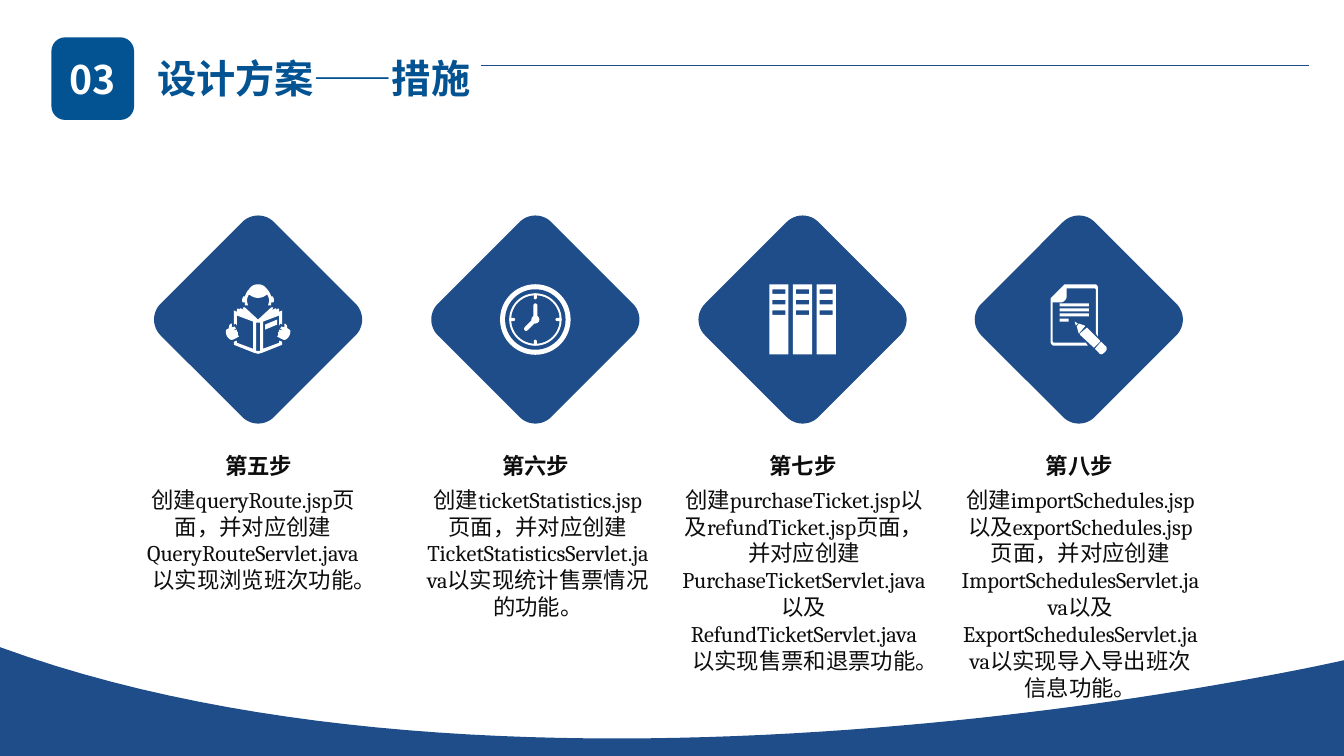
from lxml import etree
from pptx import Presentation
from pptx.dml.color import RGBColor
from pptx.enum import shapes, text
from pptx.oxml import ns
from pptx.util import Inches, Pt

BLUE = RGBColor(0x1E, 0x4D, 0x8A)
TITLE_BLUE = RGBColor(0x03, 0x53, 0x92)
WHITE = RGBColor(0xFF, 0xFF, 0xFF)
INK = RGBColor(0x0D, 0x0D, 0x0D)
SANS = "Noto Sans CJK SC"
SERIF = "Cambria"
PRESET = shapes.MSO_SHAPE
UNIT = 0.01  # icons are laid out in hundredths of an inch from their centre


def paint(shape, fill):
    shape.shadow.inherit = False
    shape.fill.solid()
    shape.fill.fore_color.rgb = fill
    shape.line.fill.background()


def add_preset(slide, preset, left, top, width, height, fill, rotation=0):
    shape = slide.shapes.add_shape(preset, Inches(left), Inches(top), Inches(width), Inches(height))
    paint(shape, fill)
    shape.rotation = rotation
    return shape


def flatten(steps, pieces=12):
    """Turn steps of 2 numbers (point) or 6 numbers (cubic curve) into points."""
    points = []
    for step in steps:
        if len(step) == 2:
            points.append(step)
            continue
        x0, y0 = points[-1]
        x1, y1, x2, y2, x3, y3 = step
        for i in range(1, pieces + 1):
            t = i / pieces
            a, b, c, d = (1 - t) ** 3, 3 * t * (1 - t) ** 2, 3 * t * t * (1 - t), t ** 3
            points.append((a * x0 + b * x1 + c * x2 + d * x3, a * y0 + b * y1 + c * y2 + d * y3))
    return points


def mirror(points):
    return [(-x, y) for x, y in reversed(points)]


def bar(left, top, right, bottom):
    return [(left, top), (right, top), (right, bottom), (left, bottom)]


def add_outline(slide, contours, fill, x=0, y=0, unit=1.0):
    def place(point):
        return Inches(x + point[0] * unit), Inches(y + point[1] * unit)

    builder = slide.shapes.build_freeform(*place(contours[0][0]), scale=1.0)
    for i, contour in enumerate(contours):
        if i:
            builder.move_to(*place(contour[0]))
        builder.add_line_segments([place(point) for point in contour[1:]], close=True)
    paint(builder.convert_to_shape(), fill)


def write(shape, pieces, size, color, bold=False, align=text.PP_ALIGN.CENTER):
    paragraph = shape.text_frame.paragraphs[0]
    paragraph.alignment = align
    for words, font_name in pieces:
        run = paragraph.add_run()
        run.text = words
        run.font.size = Pt(size)
        run.font.bold = bold
        run.font.name = font_name
        run.font.color.rgb = color
        east_asian = etree.SubElement(run._r.get_or_add_rPr(), ns.qn("a:ea"))
        east_asian.set("typeface", SANS)


def add_text(slide, left, top, width, height, wrap=True):
    box = slide.shapes.add_textbox(Inches(left), Inches(top), Inches(width), Inches(height))
    box.text_frame.word_wrap = wrap
    box.text_frame.auto_size = text.MSO_AUTO_SIZE.SHAPE_TO_FIT_TEXT
    return box


# Icons, each centred on x, y
def reader_icon(slide, x, y):
    hair = flatten([(0, -35), (4, -35, 7, -33, 9, -30), (11, -28, 12, -26, 13, -23),
                    (14, -23, 15, -23, 15, -22), (16, -21, 16, -17, 15, -17), (13, -17),
                    (13, -14), (10, -14), (10, -15, 11, -17, 11, -19),
                    (11, -21, 10, -23, 9, -25), (6, -22.5, 3, -21.5, 0, -21.5)])
    book = [(0, 0), (13, -12), (15, -12), (15, -11), (13, -9), (17, -11), (18, -11), (18, -10),
            (15, -8), (20, -11), (21, -10), (21, -8), (15, -5), (24, -9), (24, 5), (22, 4),
            (21, 6), (21, -4), (5, 2), (5, 29), (21, 23), (21, 21), (24, 22), (24, 25),
            (4, 33), (0, 34)]
    hand = flatten([(23, 7), (22, 9), (25, 11), (21, 10), (21, 12), (24, 14), (20, 12), (20, 15),
                    (23, 17), (20, 15), (19, 17), (20, 17, 25, 21, 27, 20),
                    (30, 19, 32, 15, 32, 12), (33, 9, 24, 7, 23, 7)])
    sleeve = flatten([(29, 9), (27, 8), (26, 7), (26, 4), (28, 4, 29, 6, 29, 9)])
    label = [(7, 5), (19, 0), (19, 5), (7, 10)]
    contours = [hair + mirror(hair), book + mirror(book), bar(-2, 3, 2, 31), label,
                hand, mirror(hand), sleeve, mirror(sleeve)]
    add_outline(slide, contours, WHITE, x, y, UNIT)


def clock_icon(slide, x, y):
    for radius, fill in ((0.35, WHITE), (0.3, BLUE), (0.26, WHITE), (0.24, BLUE), (0.04, WHITE)):
        add_preset(slide, PRESET.OVAL, x - radius, y - radius, 2 * radius, 2 * radius, fill)
    # Hour marks and hands: centre offset, size, rotation
    for dx, dy, width, height, rotation in (
            (0, -0.23, 0.03, 0.06, 0), (0, 0.23, 0.03, 0.06, 0),
            (-0.23, 0, 0.06, 0.03, 0), (0.23, 0, 0.06, 0.03, 0),
            (0, -0.07, 0.04, 0.18, 0), (-0.05, 0.05, 0.04, 0.16, 45)):
        mark = add_preset(slide, PRESET.ROUNDED_RECTANGLE, x + dx - width / 2,
                          y + dy - height / 2, width, height, WHITE, rotation)
        mark.adjustments[0] = 0.5


def binders_icon(slide, x, y):
    contours = []
    for left in (-33, -9.5, 14):
        contours.append(bar(left, -35, left + 19, 34.5))
        contours += [bar(left + 3, top, left + 16, top + 4.5) for top in (-30, -19.5, -9)]
    add_outline(slide, contours, WHITE, x, y, UNIT)


def document_icon(slide, x, y):
    page = flatten([(-26, -17), (-18, -17), (-15, -17, -12, -20, -12, -23), (-12, -31), (16, -31),
                    (17, -30), (17, 14), (19, 17), (19, -31), (19, -33, 18, -35, 16, -35),
                    (-14, -35), (-28, -21), (-28, 22), (-28, 24, -26, 26, -25, 26), (9, 26),
                    (7, 23), (-25, 23), (-26, 22)])
    pencil = [[(-3, 6), (-1, 4), (-4, 2)],
              [(0, 14), (6, 7), (6, 6), (0, 4), (-2, 7)],
              [(19, 24), (21, 22), (21, 21), (8, 8), (1, 14), (1, 15), (15, 28)],
              flatten([(16, 29), (20, 33), (21, 35, 23, 35, 25, 33), (27, 31),
                       (28, 29, 28, 27, 26, 26), (22, 22)])]
    lines = [bar(-19, top, 10, top + 3) for top in (-16, -11, -6)] + [bar(-19, -1, -10, 2)]
    add_outline(slide, [page] + lines + pencil, WHITE, x, y, UNIT)


# Regions
def add_wave(slide, top, bottom, width):
    wave = flatten([(width, bottom), (width, top + 0.13),
                    (width, top + 0.13, 5.36, top + 1.96, 0, top), (0, bottom)], 60)
    add_outline(slide, [wave], BLUE)


def add_header(slide, left, top, right):
    title = add_text(slide, left + 0.95, top + 0.12, 3.63, 0.7)
    title.text_frame.auto_size = text.MSO_AUTO_SIZE.NONE
    write(title, [("设计方案——措施", SANS)], 28, TITLE_BLUE, True, text.PP_ALIGN.LEFT)
    badge = add_preset(slide, PRESET.ROUNDED_RECTANGLE, left, top, 0.82, 0.82, TITLE_BLUE)
    badge.text_frame.vertical_anchor = text.MSO_ANCHOR.MIDDLE
    write(badge, [("03", SANS)], 28, WHITE, True)
    rule = slide.shapes.add_connector(shapes.MSO_CONNECTOR.STRAIGHT, Inches(left + 4.26),
                                      Inches(top + 0.28), Inches(right), Inches(top + 0.28))
    rule.line.color.rgb = BLUE
    rule.line.width = Pt(0.5)
    etree.SubElement(rule._element.spPr, ns.qn("a:effectLst"))


def add_step(slide, x, y, icon, name, body_left, body_width, body_height, body):
    side = 1.59
    diamond = add_preset(slide, PRESET.ROUNDED_RECTANGLE, x - side / 2, y - side / 2,
                         side, side, BLUE, 45)
    diamond.adjustments[0] = 0.14
    icon(slide, x, y)
    heading = add_text(slide, x - 0.43, y + 1.27, 0.87, 0.37, wrap=False)
    write(heading, [(name, SANS)], 16, INK, True)
    write(add_text(slide, body_left, y + 1.6, body_width, body_height), body, 16, INK)


STEPS = [
    (2.56, reader_icon, "第五步", 1.33, 2.36, 1.18,
     [("创建queryRoute.jsp页面，并对应创建QueryRouteServlet.java以实现浏览班次功能。", SERIF)]),
    (5.31, clock_icon, "第六步", 4.13, 2.41, 1.72,
     [("创建ticketStatistics.jsp页面，并对应创建TicketStatisticsServlet.java以实现", SERIF),
      ("统计售票情况的功能。", SANS)]),
    (7.96, binders_icon, "第七步", 6.66, 2.63, 1.98,
     [("创建purchaseTicket.jsp以及refundTicket.jsp页面，并对应创建PurchaseTicketServlet.java"
       "以及RefundTicketServlet.java以实现售票和退票功能。", SERIF)]),
    (10.7, document_icon, "第八步", 9.42, 2.59, 2.25,
     [("创建importSchedules.jsp以及exportSchedules.jsp页面，并对应创建ImportSchedulesServlet.java"
       "以及ExportSchedulesServlet.java以实现导入导出班次信息功能。", SERIF)]),
]


def main():
    presentation = Presentation()
    presentation.slide_width = Inches(13.33)
    presentation.slide_height = Inches(7.5)
    slide = presentation.slides.add_slide(presentation.slide_layouts[6])
    add_wave(slide, 6.42, 7.5, 13.33)
    add_header(slide, 0.51, 0.37, 12.98)
    for x, *details in STEPS:
        add_step(slide, x, 3.17, *details)
    presentation.save("out.pptx")


if __name__ == "__main__":
    main()
